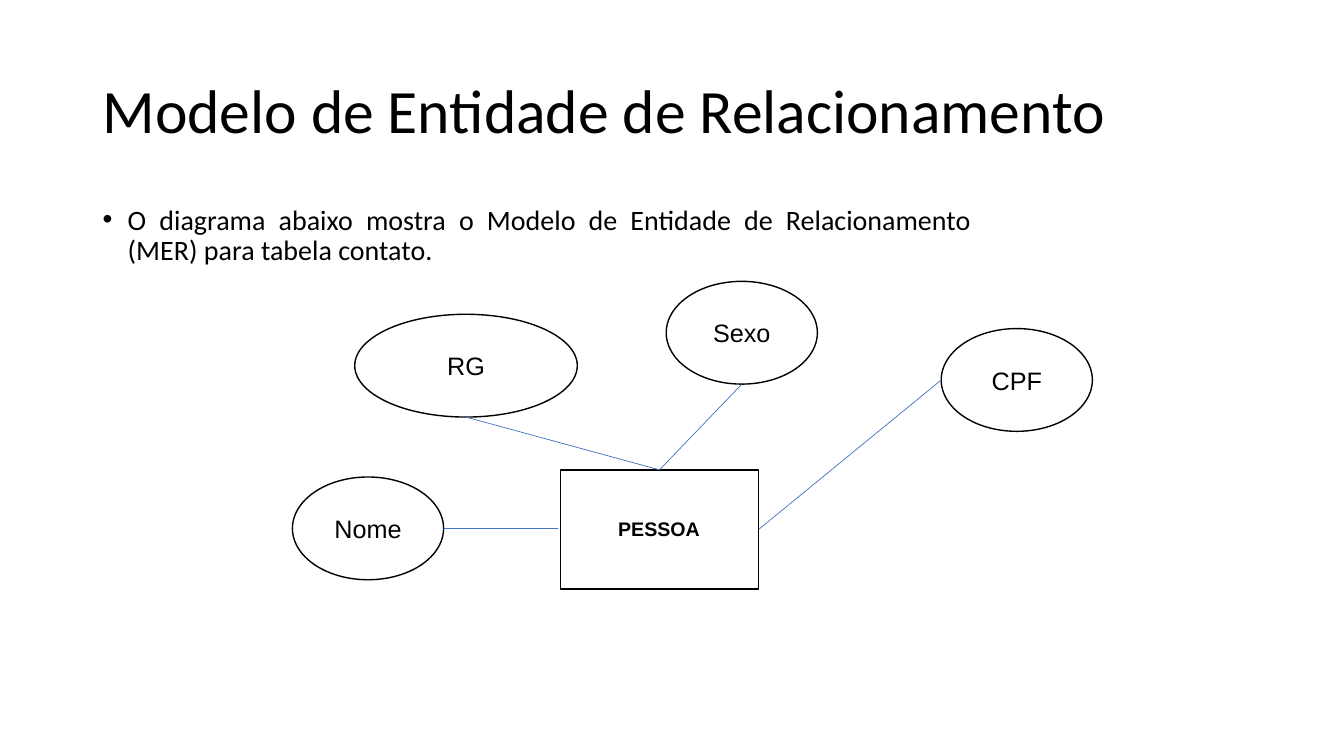
from lxml.etree import SubElement
from pptx import Presentation
from pptx.dml.color import RGBColor
from pptx.enum.shapes import MSO_CONNECTOR, MSO_SHAPE
from pptx.enum.text import MSO_ANCHOR, MSO_AUTO_SIZE, PP_ALIGN
from pptx.oxml.ns import qn
from pptx.util import Cm, Pt

COLORS = {"ink": "000000", "link": "4472C4"}


def write_text(shape, text, size, font="Arial", bold=False, align=PP_ALIGN.CENTER,
               anchor=MSO_ANCHOR.MIDDLE, line_spacing=1.0, space_before=0):
    frame = shape.text_frame
    frame.word_wrap = True
    frame.auto_size = MSO_AUTO_SIZE.NONE
    frame.vertical_anchor = anchor
    para = frame.paragraphs[0]
    para.alignment = align
    para.line_spacing = line_spacing
    para.space_before = Pt(space_before)
    span = para.add_run()
    span.text = text
    span.font.name = font
    span.font.size = Pt(size)
    span.font.bold = bold
    span.font.color.rgb = RGBColor.from_string(COLORS["ink"])
    return para


def add_outline(kind, left, top, width, height):
    shape = page.shapes.add_shape(kind, Cm(left), Cm(top), Cm(width), Cm(height))
    shape.shadow.inherit = False
    shape.fill.background()
    shape.line.color.rgb = RGBColor.from_string(COLORS["ink"])
    shape.line.width = Pt(1)
    return shape


deck = Presentation()
deck.slide_width = Cm(33.87)
deck.slide_height = Cm(19.05)
page = deck.slides.add_slide(deck.slide_layouts[1])

title = page.shapes.title
title.left, title.top, title.width, title.height = Cm(2.33), Cm(1.01), Cm(29.21), Cm(3.68)
write_text(title, "Modelo de Entidade de Relacionamento", 44, font="Calibri",
           align=PP_ALIGN.LEFT, line_spacing=0.9)

body = page.placeholders[1]
body.left, body.top, body.width, body.height = Cm(2.33), Cm(5.06), Cm(22.4), Cm(3.07)
bullet = write_text(
    body,
    "O diagrama abaixo mostra o Modelo de Entidade de Relacionamento (MER) para tabela contato.",
    20, font="Calibri", align=PP_ALIGN.JUSTIFY, anchor=MSO_ANCHOR.TOP,
    line_spacing=0.9, space_before=10)
bullet_format = bullet._p.get_or_add_pPr()
bullet_format.set("marL", str(Pt(18)))
bullet_format.set("indent", str(-Pt(18)))
SubElement(bullet_format, qn("a:buFont")).set("typeface", "Arial")
SubElement(bullet_format, qn("a:buChar")).set("char", "•")

entity = add_outline(MSO_SHAPE.RECTANGLE, 14.12, 11.84, 5, 3)
label = page.shapes.add_textbox(Cm(14.07), Cm(12.89), Cm(5.08), Cm(0.86))
write_text(label, "PESSOA", 14, bold=True)

attributes = [
    ("RG", 8.94, 7.92, 5.61, (0.5, 1), entity, 0),
    ("CPF", 23.72, 8.28, 3.81, (0, 0.5), entity, 3),
    ("Nome", 7.37, 12.02, 3.81, (1, 0.5), label, 1),
    ("Sexo", 16.79, 7.09, 3.81, (0.5, 1), entity, 0),
]
for name, left, top, width, (across, down), target, side in attributes:
    oval = add_outline(MSO_SHAPE.OVAL, left, top, width, 2.59)
    write_text(oval, name, 18)
    start_x = oval.left + int(oval.width * across)
    start_y = oval.top + int(oval.height * down)
    link = page.shapes.add_connector(MSO_CONNECTOR.STRAIGHT, start_x, start_y, start_x, start_y)
    link.end_connect(target, side)
    link.line.color.rgb = RGBColor.from_string(COLORS["link"])
    link.line.width = Pt(0.5)
    SubElement(link._element.spPr, qn("a:effectLst"))

deck.save("out.pptx")
